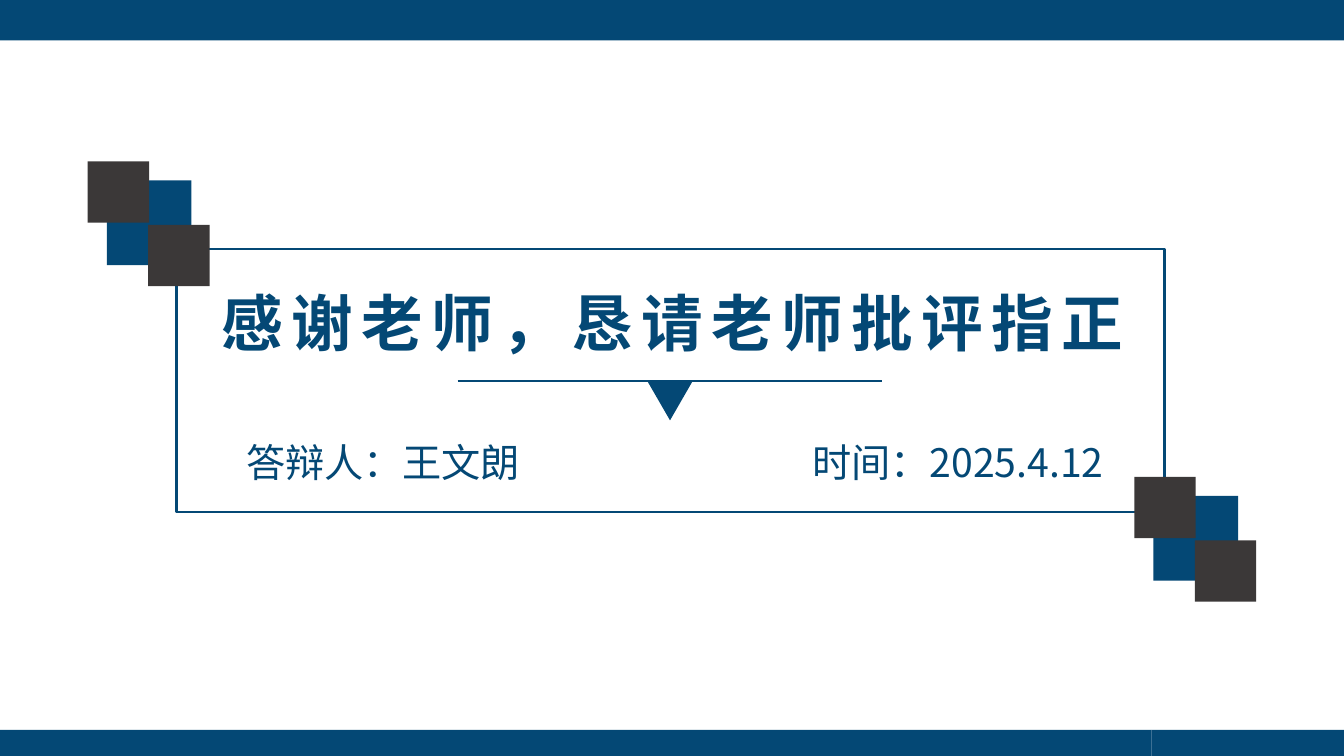
from dataclasses import dataclass

from lxml import etree
from pptx import Presentation
from pptx import util as u
from pptx.dml.color import RGBColor
from pptx.enum import shapes, text
from pptx.oxml.ns import qn


@dataclass(frozen=True)
class Theme:
    blue: RGBColor = RGBColor(0x04, 0x48, 0x75)
    dark: RGBColor = RGBColor(0x3B, 0x38, 0x38)
    font: str = "Noto Sans CJK SC"
    title_size: int = 44
    detail_size: int = 28
    line_width: int = 2


@dataclass(frozen=True)
class Box:
    left: float
    top: float
    width: float
    height: float

    def emu(self) -> tuple:
        return tuple(u.Inches(v) for v in (self.left, self.top, self.width, self.height))


@dataclass(frozen=True)
class Label:
    words: str
    box: Box
    size: int
    bold: bool = False
    spacing: int = 0  # points between characters


THEME = Theme()
RECT = shapes.MSO_SHAPE.RECTANGLE

LABELS = (
    Label("感谢老师，恳请老师批评指正", Box(1.66, 2.78, 10.02, 0.84), THEME.title_size, True, 6),
    Label("答辩人：王文朗", Box(2.18, 4.3, 3.24, 0.57), THEME.detail_size),
    Label("时间：2025.4.12", Box(7.75, 4.3, 3.5, 0.57), THEME.detail_size),
)
FRAME = Box(1.75, 2.47, 9.8, 2.61)
DIVIDER = Box(4.54, 3.78, 4.21, 0)
POINTER = Box(6.42, 3.78, 0.45, 0.39)
CORNERS = ((11.25, 4.73), (0.87, 1.6))
BANDS = (
    Box(0, -0.01, 13.33, 0.41),
    Box(11.42, 7.24, 1.92, 0.26),
    Box(0, 7.24, 11.42, 0.26),
)


def add_filled(parent, box: Box, color: RGBColor, kind=RECT):
    sp = parent.shapes.add_shape(kind, *box.emu())
    sp.shadow.inherit = False
    sp.fill.solid()
    sp.fill.fore_color.rgb = color
    sp.line.fill.background()
    return sp


def add_frame(s, box: Box) -> None:
    sp = s.shapes.add_shape(RECT, *box.emu())
    sp.shadow.inherit = False
    sp.fill.background()
    sp.line.color.rgb = THEME.blue
    sp.line.width = u.Pt(THEME.line_width)


def add_label(s, label: Label) -> None:
    tf = s.shapes.add_textbox(*label.box.emu()).text_frame
    tf.word_wrap = True
    tf.auto_size = text.MSO_AUTO_SIZE.SHAPE_TO_FIT_TEXT
    p = tf.paragraphs[0]
    p.alignment = text.PP_ALIGN.CENTER
    r = p.add_run()
    r.text = label.words
    r.font.size = u.Pt(label.size)
    r.font.bold = label.bold
    r.font.color.rgb = THEME.blue
    r.font.name = THEME.font
    rPr = r.font._element
    etree.SubElement(rPr, qn("a:ea")).set("typeface", THEME.font)
    if label.spacing:
        rPr.set("spc", str(label.spacing * 100))


def add_divider(s) -> None:
    """Draw the rule under the title with its downward pointer."""
    grp = s.shapes.add_group_shape()
    left, top, width, _ = DIVIDER.emu()
    line = grp.shapes.add_connector(shapes.MSO_CONNECTOR.STRAIGHT, left, top, left + width, top)
    line.line.color.rgb = THEME.blue
    line.line.width = u.Pt(THEME.line_width)
    etree.SubElement(line._element.spPr, qn("a:effectLst"))
    pointer = add_filled(grp, POINTER, THEME.blue, shapes.MSO_SHAPE.ISOSCELES_TRIANGLE)
    pointer.rotation = 180


def add_corner(s, left: float, top: float) -> None:
    """Draw a blue square with two dark squares over opposite corners."""
    grp = s.shapes.add_group_shape()
    add_filled(grp, Box(left + 0.19, top + 0.19, 0.84, 0.84), THEME.blue)
    for dx, dy in ((0, 0), (0.6, 0.63)):
        add_filled(grp, Box(left + dx, top + dy, 0.61, 0.61), THEME.dark)


def main() -> None:
    prs = Presentation()
    prs.slide_width, prs.slide_height = u.Inches(13.33), u.Inches(7.5)
    s = prs.slides.add_slide(prs.slide_layouts[6])
    add_divider(s)
    for label in LABELS:
        add_label(s, label)
    add_frame(s, FRAME)
    for left, top in CORNERS:
        add_corner(s, left, top)
    for band in BANDS:
        add_filled(s, band, THEME.blue)
    prs.save("out.pptx")


if __name__ == "__main__":
    main()
